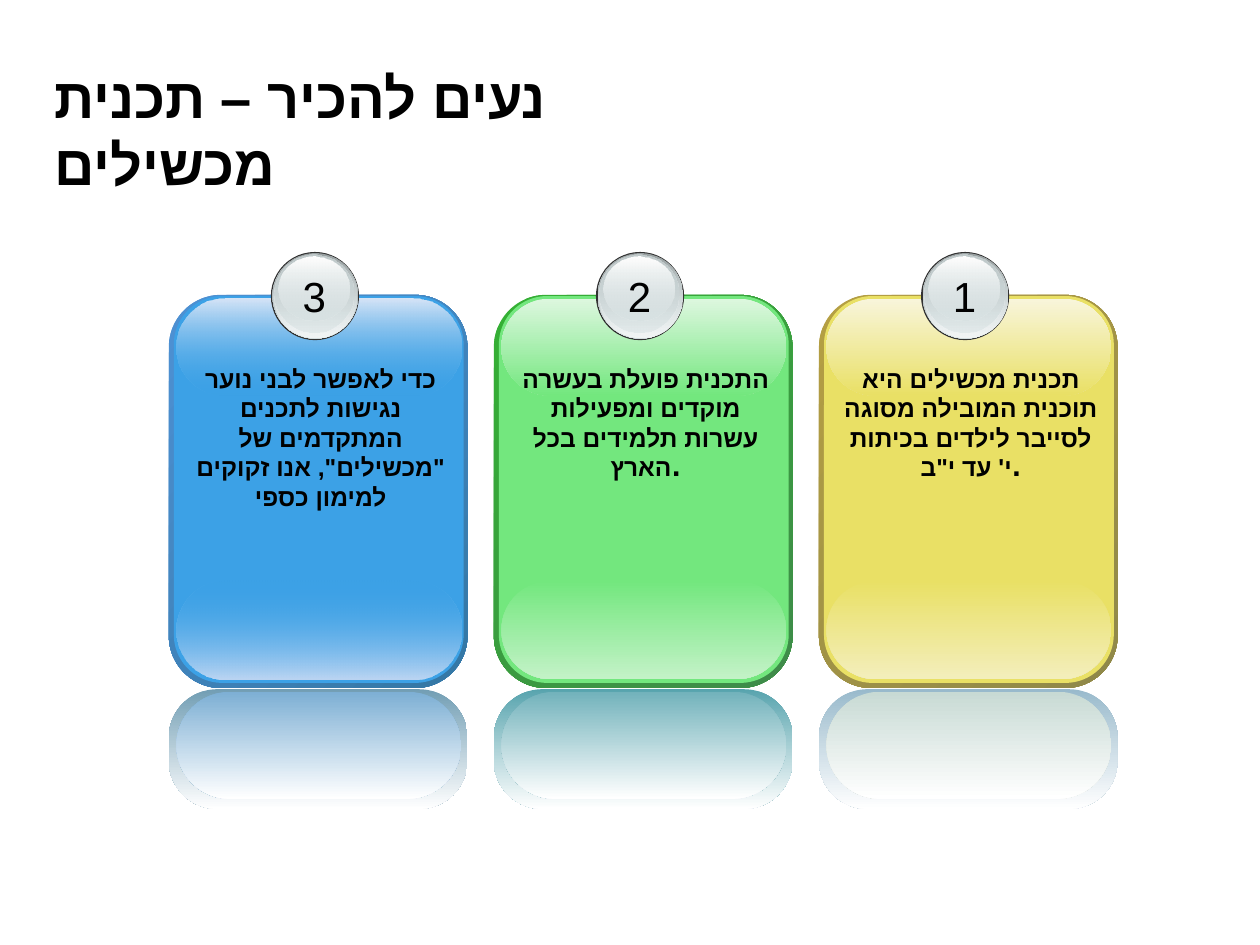
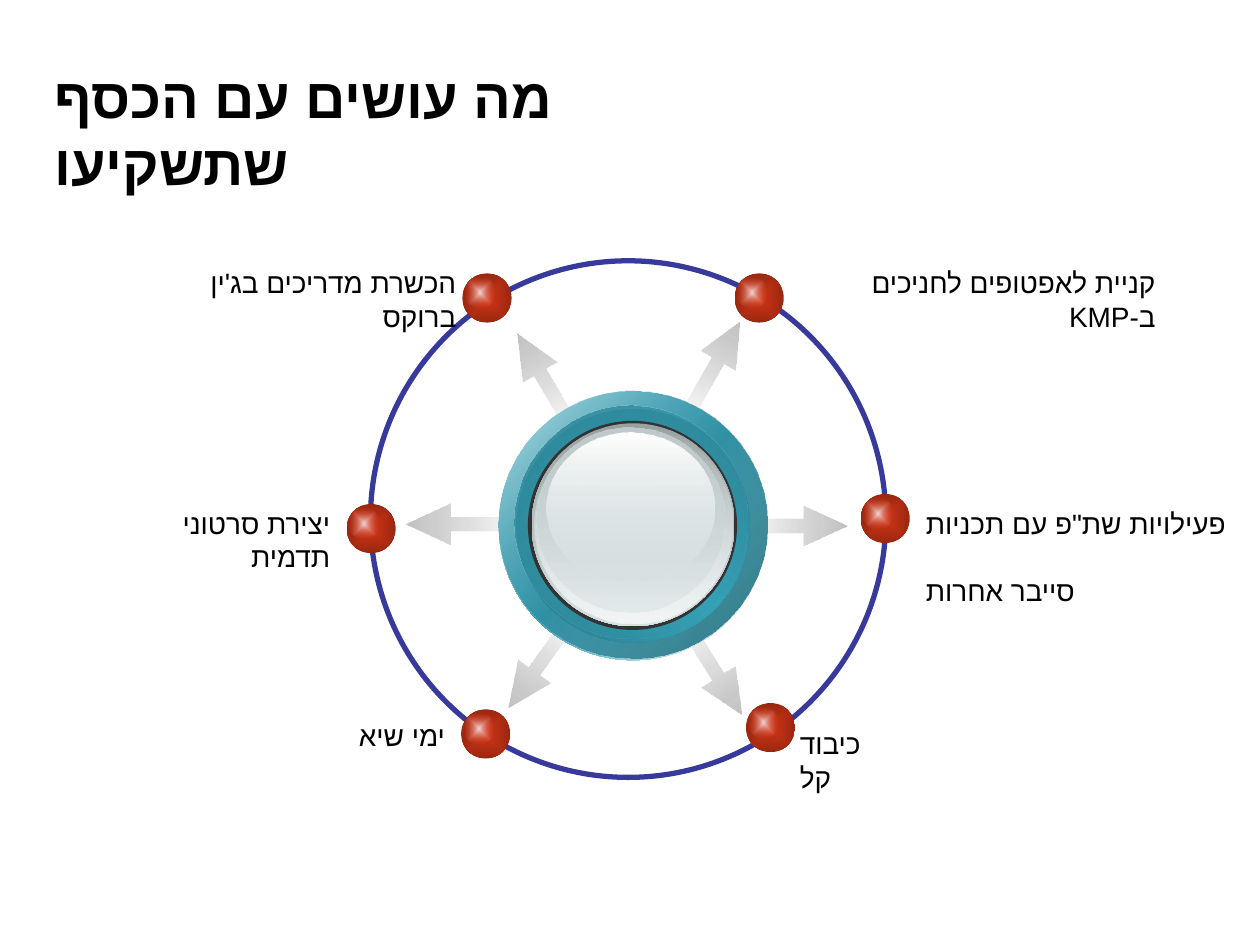
from dataclasses import dataclass
from typing import Any, NamedTuple, Optional

from lxml.etree import SubElement
from pptx import Presentation
from pptx.dml.color import RGBColor
from pptx.enum.shapes import MSO_SHAPE
from pptx.enum.text import MSO_ANCHOR, PP_ALIGN
from pptx.oxml.ns import qn
from pptx.util import Inches, Pt


class Stop(NamedTuple):
    """A gradient stop: position and opacity in percent."""
    position: int
    color: str
    opacity: int = 100


@dataclass(frozen=True)
class Type:
    """A text style."""
    size: int
    font: str = "Arial"
    bold: bool = False


@dataclass(frozen=True)
class Theme:
    """Colours and type sizes of the whole deck."""
    ink: str = "000000"
    paper: str = "FFFFFF"
    rim: str = "333333"
    orbit: str = "37399B"
    teal: str = "36A1B6"
    red: str = "D23516"
    silver: str = "D6E1E2"
    hebrew_font: str = "Arial"
    title: Type = Type(32, bold=True)
    number: Type = Type(24)
    body: Type = Type(14, "DejaVu Sans", True)
    label: Type = Type(16)


THEME = Theme()


class Box(NamedTuple):
    """A place on the page, in inches."""
    left: float
    top: float
    width: float
    height: float

    def lengths(self) -> list:
        """Return the four values as lengths."""
        return [Inches(value) for value in self]


class Card(NamedTuple):
    """A numbered glossy card and its reflection."""
    number: str
    text: str
    face: str
    edge: tuple
    shine: tuple
    mirror: tuple
    shine_opacity: int = 100


class Arrow(NamedTuple):
    """An arrow leaving the hub."""
    left: float
    top: float
    angle: float
    width: float = 0.87


class Label(NamedTuple):
    """A caption beside a dot; one entry per paragraph."""
    lines: tuple
    box: Box
    align: Any = PP_ALIGN.RIGHT
    right_to_left: bool = False


CARDS = (
    Card("3", 'כדי לאפשר לבני נוער נגישות לתכנים המתקדמים של "מכשילים", '
         'אנו זקוקים למימון כספי',
         "3CA1E6", ("4E91D4", "3477A4"), ("D7E5F7", "BDD6F3"), ("729EB4", "7DAFD4"), 0),
    Card("2", "התכנית פועלת בעשרה מוקדים ומפעילות עשרות תלמידים בכל הארץ.",
         "73E77E", ("34B034", "3F8B4A"), ("DDF7DF", "C3F2C7"), ("58A4AE", "72B2BB")),
    Card("1", "תכנית מכשילים היא תוכנית המובילה מסוגה לסייבר לילדים "
         "בכיתות י' עד י\"ב.",
         "E9E065", ("B59F43", "8F8849"), ("F8F5DB", "F3EEBB"), ("99BACC", "C8DAD4")),
)
CARD_LEFT, CARD_PITCH = 1.34, 2.58

ARROWS = (
    Arrow(5.22, 2.77, 299.6), Arrow(5.22, 5.14, 57.8), Arrow(3.89, 2.86, 239.5),
    Arrow(3.85, 5.1, 125.6), Arrow(5.86, 4.01, 0), Arrow(3.22, 4, 180, 0.94),
)
DOTS = ((3.66, 5.63), (2.75, 4), (3.67, 2.17), (5.83, 2.17), (6.83, 3.92), (5.92, 5.58))
LABELS = (
    Label(("קניית לאפטופים לחניכים ב-KMP",), Box(6.25, 2.06, 3.02, 0.37),
          right_to_left=True),
    Label(("הכשרת מדריכים בג'ין ברוקס",), Box(1.12, 2.06, 2.6, 0.37)),
    Label(('פעילויות שת"פ עם תכניות', "סייבר אחרות"), Box(7.25, 3.97, 2.7, 0.64),
          PP_ALIGN.LEFT),
    Label(("כיבוד קל",), Box(6.25, 5.72, 0.94, 0.37), PP_ALIGN.LEFT),
    Label(("יצירת סרטוני תדמית",), Box(0.75, 3.97, 1.97, 0.37)),
    Label(("ימי שיא",), Box(2.63, 5.65, 1, 0.37)),
)


def apply(target: Any, values: dict) -> None:
    """Set attributes of an object from a dict."""
    for name, value in values.items():
        setattr(target, name, value)


def fade(first: str, last: str, first_opacity: int = 100, last_opacity: int = 100) -> tuple:
    """Return the stops of a two-colour gradient."""
    return Stop(0, first, first_opacity), Stop(100, last, last_opacity)


def paint(shape: Any, stops: tuple, angle: Optional[float]) -> None:
    """Fill with a linear gradient, or from the centre when angle is None."""
    shape.fill.gradient()
    gradient = shape._element.spPr.find(qn("a:gradFill"))
    for child in list(gradient):
        gradient.remove(child)
    stop_list = SubElement(gradient, qn("a:gsLst"))
    for stop in stops:
        mark = SubElement(stop_list, qn("a:gs"), pos=str(stop.position * 1000))
        color = SubElement(mark, qn("a:srgbClr"), val=stop.color)
        if stop.opacity < 100:
            SubElement(color, qn("a:alpha"), val=str(stop.opacity * 1000))
    if angle is None:
        course = SubElement(gradient, qn("a:path"), path="shape")
        SubElement(course, qn("a:fillToRect"), {side: "50000" for side in "ltrb"})
    else:
        SubElement(gradient, qn("a:lin"), ang=str(int(angle * 60000)), scaled="1")


def add_form(page: Any, kind: Any, box: Box, fill: Any = None,
             angle: Optional[float] = 90, adjust: tuple = ()) -> Any:
    """Add a preset shape without line, filled by a colour or by stops."""
    shape = page.shapes.add_shape(kind, *box.lengths())
    shape.shadow.inherit = False
    shape.line.fill.background()
    for index, value in enumerate(adjust):
        shape.adjustments[index] = value
    if fill is None:
        shape.fill.background()
    elif isinstance(fill, str):
        shape.fill.solid()
        shape.fill.fore_color.rgb = RGBColor.from_string(fill)
    else:
        paint(shape, fill, angle)
    return shape


def write(para: Any, text: str, style: Type, align: Any) -> None:
    """Put one styled span of Hebrew, without pair kerning, in a paragraph."""
    para.alignment = align
    span = para.add_run()
    span.text = text
    apply(span.font, {"size": Pt(style.size), "name": style.font, "bold": style.bold})
    span.font.color.rgb = RGBColor.from_string(THEME.ink)
    properties = span._r.get_or_add_rPr()
    for name, value in {"lang": "he-IL", "kern": "0"}.items():
        properties.set(name, value)
    SubElement(properties, qn("a:cs"), typeface=THEME.hebrew_font)


def add_text(page: Any, label: Label, style: Type, wrap: bool = True) -> None:
    """Add a text box; later paragraphs stand one line apart."""
    frame = page.shapes.add_textbox(*label.box.lengths()).text_frame
    frame.word_wrap = wrap
    for index, line in enumerate(label.lines):
        para = frame.add_paragraph() if index else frame.paragraphs[0]
        write(para, line, style, label.align)
        if index:
            para.space_before = Pt(19)
        if label.right_to_left:
            para._p.get_or_add_pPr().set("rtl", "1")


def add_page(deck: Any, title: str, width: float) -> Any:
    """Add a title-only page with the shared title style."""
    page = deck.slides.add_slide(deck.slide_layouts[5])
    page.background.fill.solid()
    page.background.fill.fore_color.rgb = RGBColor.from_string(THEME.paper)
    heading = page.shapes.title
    apply(heading, dict(zip(("left", "top", "width", "height"),
                            Box(0.33, 0.72, width, 0.62).lengths())))
    apply(heading.text_frame, {"word_wrap": True, "vertical_anchor": MSO_ANCHOR.MIDDLE})
    write(heading.text_frame.paragraphs[0], title, THEME.title, PP_ALIGN.LEFT)
    return page


def add_glass(page: Any, left: float, top: float, size: float) -> None:
    """Draw a silver glass button; its layers scale with its size."""
    silver = THEME.silver
    layers = (
        (0, 0, 1, 1, THEME.rim),
        (0.018, 0.012, 0.97, 0.97, fade("99A1A2", silver)),
        (0.03, 0.024, 0.946, 0.946, fade(silver, "F2F5F5", 0)),
        (0.042, 0.03, 0.898, 0.886, fade("C1CBCC", silver, 100, 48)),
        (0.09, 0.054, 0.8, 0.717, fade(THEME.paper, silver, 100, 38)),
    )
    for right, down, width, height, fill in layers:
        place = Box(left + right * size, top + down * size, width * size, height * size)
        add_form(page, MSO_SHAPE.OVAL, place, fill)


def add_card(page: Any, card: Card, left: float) -> None:
    """Draw a card with shine, reflection, number and text."""
    top_shine, bottom_shine = card.shine
    outer, inner = card.mirror
    opacity = card.shine_opacity
    layers = (
        (Box(left, 2.34, 2.37, 3.12), 0.175, fade(*card.edge), 45),
        (Box(left + 0.04, 2.35, 2.3, 3.07), 0.167, card.face, 0),
        (Box(left + 0.06, 4.61, 2.26, 0.78), 0.5,
         fade(card.face, bottom_shine, opacity), 90),
        (Box(left + 0.06, 2.37, 2.26, 0.77), 0.5,
         fade(top_shine, card.face, 100, opacity), 90),
        (Box(left, 5.47, 2.37, 0.95), 0.404, fade(outer, THEME.paper), 90),
        (Box(left + 0.06, 5.49, 2.26, 0.85), 0.5, fade(inner, THEME.paper), 90),
    )
    for box, corner, fill, angle in layers:
        add_form(page, MSO_SHAPE.ROUNDED_RECTANGLE, box, fill, angle, (corner,))
    add_glass(page, left + 0.81, 2, 0.7)
    number = Label((card.number,), Box(left + 0.96, 2.1, 0.39, 0.5), PP_ALIGN.CENTER)
    add_text(page, number, THEME.number, wrap=False)
    body = Label((card.text,), Box(left + 0.08, 2.84, 2.25, 1.28), PP_ALIGN.CENTER)
    add_text(page, body, THEME.body)


def add_hub(page: Any) -> None:
    """Draw the teal ring and the glass button in it."""
    teal = THEME.teal
    rings = (
        (3.96, 3.11, 2.13, (Stop(0, THEME.paper), Stop(50, teal), Stop(100, THEME.paper)), 45),
        (3.96, 3.1, 2.13, fade(teal, "277382", 32), 45),
        (4.1, 3.25, 1.85, (Stop(0, "297B8B"), Stop(50, teal), Stop(100, "297B8B")), 315),
        (4.08, 3.22, 1.85, fade("2C8495", teal, 100, 0), 45),
    )
    for left, top, size, fill, angle in rings:
        add_form(page, MSO_SHAPE.OVAL, Box(left, top, size, size), fill, angle)
    add_glass(page, 4.19, 3.34, 1.66)


def add_dot(page: Any, left: float, top: float) -> None:
    """Draw a red ball with a highlight."""
    add_form(page, MSO_SHAPE.OVAL, Box(left, top, 0.39, 0.39),
             fade(THEME.red, "992710"), None)
    add_form(page, MSO_SHAPE.OVAL, Box(left + 0.02, top + 0.03, 0.24, 0.25),
             fade("F0D3D2", THEME.red, 100, 0), None)


def build_cards(deck: Any) -> None:
    """Build the page of three cards."""
    page = add_page(deck, "נעים להכיר – תכנית מכשילים", 5.95)
    for index, card in enumerate(CARDS):
        add_card(page, card, CARD_LEFT + index * CARD_PITCH)


def build_wheel(deck: Any) -> None:
    """Build the page with the hub, its arrows and six dots."""
    page = add_page(deck, "מה עושים עם הכסף שתשקיעו", 5.89)
    for arrow in ARROWS:
        shape = add_form(page, MSO_SHAPE.RIGHT_ARROW,
                         Box(arrow.left, arrow.top, arrow.width, 0.32),
                         fade("B7B7B7", "C0C0C0", 0), 0, (0.352, 1.11))
        shape.rotation = arrow.angle
    orbit = add_form(page, MSO_SHAPE.OVAL, Box(2.94, 2.07, 4.09, 4.1))
    orbit.line.color.rgb = RGBColor.from_string(THEME.orbit)
    orbit.line.width = Pt(3)
    add_hub(page)
    for label in LABELS:
        add_text(page, label, THEME.label)
    for left, top in DOTS:
        add_dot(page, left, top)


def main() -> None:
    """Build and save the deck."""
    deck = Presentation()
    apply(deck, {"slide_width": Inches(10), "slide_height": Inches(7.5)})
    build_cards(deck)
    build_wheel(deck)
    deck.save("out.pptx")


main()
